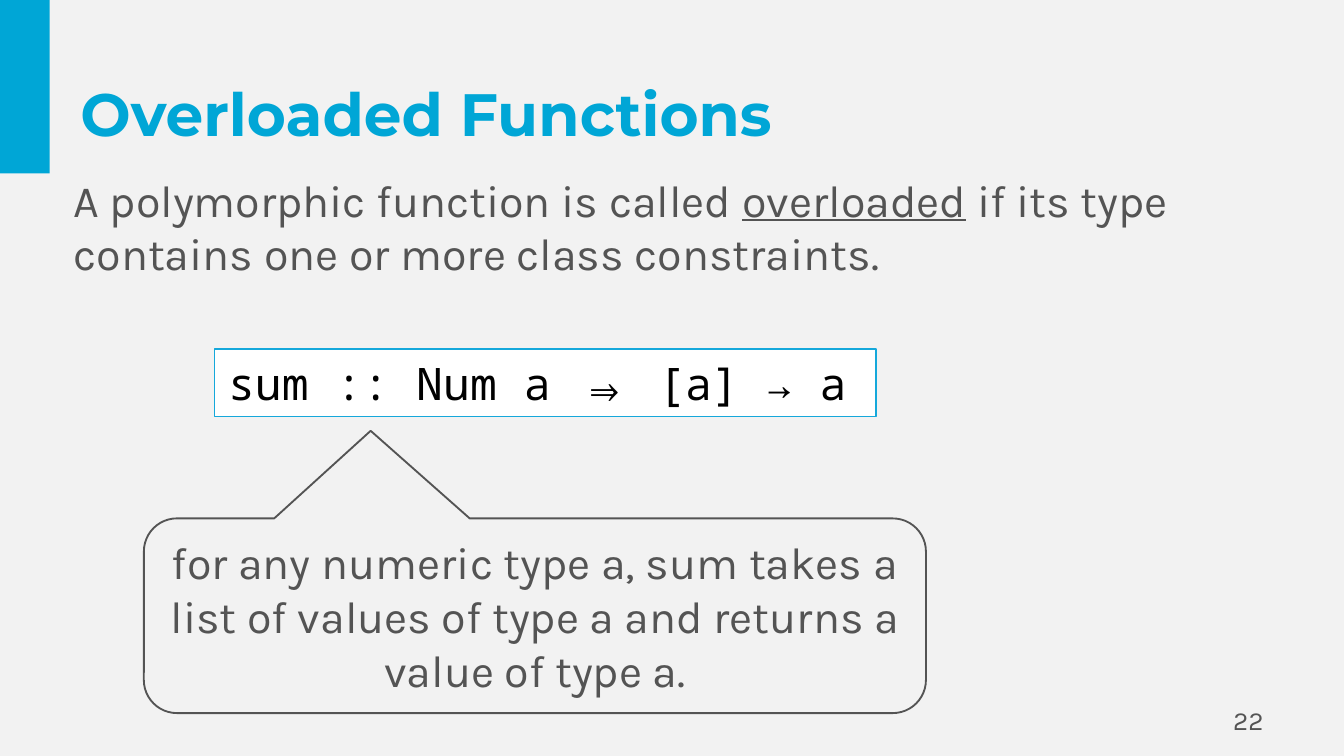
"""Build the slide on overloaded functions, with a code line and its callout."""
from pptx import Presentation
from pptx.dml.color import RGBColor
from pptx.enum.shapes import MSO_SHAPE
from pptx.enum.text import MSO_ANCHOR, PP_ALIGN
from pptx.util import Cm, Pt

RECT, CALLOUT = MSO_SHAPE.RECTANGLE, MSO_SHAPE.ROUNDED_RECTANGULAR_CALLOUT
LEFT, CENTER, RIGHT = PP_ALIGN.LEFT, PP_ALIGN.CENTER, PP_ALIGN.RIGHT
MIDDLE = MSO_ANCHOR.MIDDLE

COLORS = {"background": "F2F2F2", "accent": "00A6D6", "border": "15A8DB",
          "text": "545454", "code": "000000", "white": "FFFFFF"}
TITLE_STYLE = ("Montserrat", 32, "accent", True)
BODY_STYLE = ("Karla", 24, "text", False)
CODE_STYLE = ("Noto Sans Mono", 24, "code", False)
NUMBER_STYLE = ("Karla", 14, "text", False)

BAR = (0, 0, 0.94, 3.28)
TEXTS = [
    ((18.21, 13.23, 5.92, 0.76), ["22"], NUMBER_STYLE, RIGHT),
    ((1.27, 0.58, 22.86, 3.1), ["Overloaded Functions"], TITLE_STYLE, LEFT),
    ((1.14, 3.12, 22.63, 2.31),
     ["A polymorphic function is called ", "overloaded",
      " if its type contains one or more class constraints."], BODY_STYLE, LEFT),
]
UNDERLINED = {"overloaded"}
CODE_BOX = (4.06, 6.6, 12.5, 1.27)
CODE = ["sum :: Num a ⇒ [a] → a"]
CALLOUT_BOX = (2.72, 9.8, 14.78, 3.68)
CALLOUT_SHAPE = (-0.21, -0.95, 0.17)
EXPLANATION = ["for any numeric type a, sum takes a list of values of type a "
               "and returns a value of type a."]


def rgb(name):
    return RGBColor.from_string(COLORS[name])


def write(shape, runs, style, align, wrap=True):
    tf = shape.text_frame
    tf.word_wrap = wrap
    tf.vertical_anchor = MIDDLE
    p = tf.paragraphs[0]
    p.alignment = align
    p.font.name, size, color, p.font.bold = style
    p.font.size = Pt(size)
    p.font.color.rgb = rgb(color)
    for text in runs:
        r = p.add_run()
        r.text = text
        if text in UNDERLINED:
            r.font.underline = True


def add_shape(s, kind, box, fill=None, line=None, width=1):
    sp = s.shapes.add_shape(kind, *map(Cm, box))
    sp.shadow.inherit = False
    if fill:
        sp.fill.solid()
        sp.fill.fore_color.rgb = rgb(fill)
    else:
        sp.fill.background()
    if line:
        sp.line.color.rgb = rgb(line)
        sp.line.width = Pt(width)
    else:
        sp.line.fill.background()
    return sp


def main():
    prs = Presentation()
    prs.slide_width, prs.slide_height = Cm(25.4), Cm(14.29)
    s = prs.slides.add_slide(prs.slide_layouts[6])
    s.background.fill.solid()
    s.background.fill.fore_color.rgb = rgb("background")

    add_shape(s, RECT, BAR, "accent")
    for box, runs, style, align in TEXTS:
        write(s.shapes.add_textbox(*map(Cm, box)), runs, style, align)

    code = add_shape(s, RECT, CODE_BOX, "white", "border", 0.75)
    write(code, CODE, CODE_STYLE, LEFT, wrap=False)

    callout = add_shape(s, CALLOUT, CALLOUT_BOX, line="text")
    for i, value in enumerate(CALLOUT_SHAPE):
        callout.adjustments[i] = value
    write(callout, EXPLANATION, BODY_STYLE, CENTER)

    prs.save("out.pptx")


if __name__ == "__main__":
    main()
